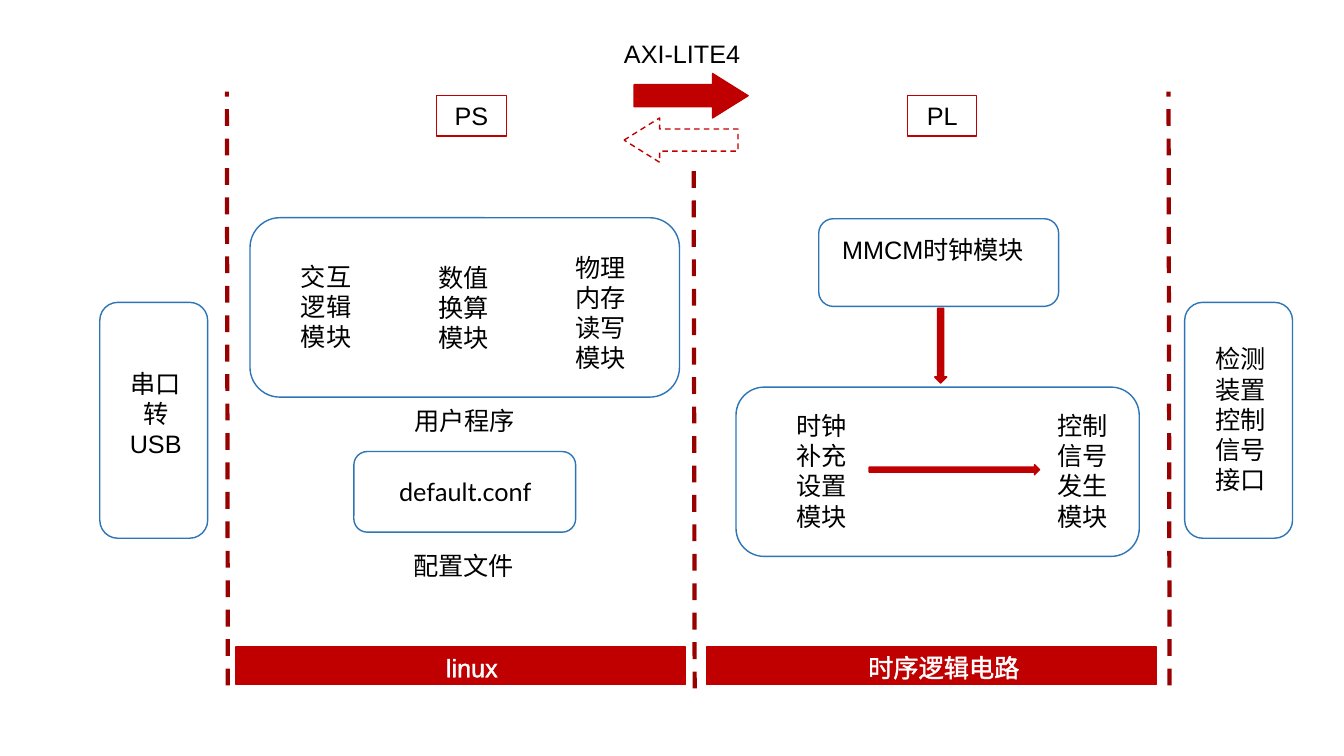
import pptx
import pptx.util
import pptx.dml.color
import pptx.enum.dml
import pptx.enum.shapes
import pptx.enum.text
import pptx.oxml
import pptx.oxml.ns

PX = 9144
RED, BLUE, DARK_RED = "C00000", "2E75B6", "990000"
BLACK, WHITE = "000000", "FFFFFF"
SHAPES = pptx.enum.shapes.MSO_SHAPE
DASH = pptx.enum.dml.MSO_LINE.DASH

BAR_TOP, BAR_WIDTH, BAR_HEIGHT = 642, 446, 37
BAR_LEFTS = [234, 701]

PANELS = [
    (730, 384, 400, 168),
    (248, 216, 426, 178),
    (812, 217, 238, 87),
    (99, 300, 107, 234),
    (351, 448, 220, 80),
    (1175, 300, 107, 234),
]

DIVIDERS = [(226, 680, 91), (689, 683, 161), (1160, 680, 91)]

SIDE_TAGS = [("PS", 433), ("PL", 900)]

ARROWS = [
    (SHAPES.DOWN_ARROW, (927, 306, 12, 74), None, True),
    (SHAPES.RIGHT_ARROW, (862, 461, 169, 10), None, True),
    (SHAPES.RIGHT_ARROW, (629, 73, 113, 44), (0.5, 0.8), True),
    (SHAPES.LEFT_ARROW, (619, 117, 113, 44), (0.5, 0.8), False),
]

LABELS = [
    (["数值换算模块"], (418, 255, 83, 101), {}),
    (["控制信号发生模块"], (1028, 402, 91, 131), {}),
    (["物理内存读写模块"], (554, 245, 83, 131), {}),
    (["交互逻辑模块"], (282, 254, 83, 101), {}),
    (["时钟补充设置模块"], (769, 402, 91, 131), {}),
    (["MMCM时钟模块"], (823, 228, 205, 40), {}),
    (["串口转USB"], (113, 360, 83, 101), {"outline": WHITE}),
    (["检测装置控制信号", "接口"], (1189, 336, 83, 161), {"outline": WHITE}),
    (["用户程序"], (384, 397, 154, 40), {}),
    (["配置文件"], (383, 541, 154, 40), {}),
    (["AXI-LITE4"], (607, 33, 139, 40), {}),
    (["default.conf"], (378, 468, 167, 40), {"font": "Lato"}),
    (["linux"], (391, 642, 154, 40), {"color": WHITE, "outline": WHITE}),
    (["时序逻辑电路"], (847, 642, 178, 40), {"color": WHITE, "outline": WHITE}),
]


def rgb(color):
    return pptx.dml.color.RGBColor.from_string(color)


def emu(*lengths):
    return [length * PX for length in lengths]


def add_box(page, kind, place, fill=None, line=RED, width=1):
    box = page.shapes.add_shape(kind, *emu(*place))
    box.shadow.inherit = False
    if fill:
        box.fill.solid()
        box.fill.fore_color.rgb = rgb(fill)
    else:
        box.fill.background()
    box.line.color.rgb = rgb(line)
    box.line.width = pptx.util.Pt(width)
    return box


def write(box, lines, font="Arial", size=18, color=BLACK, outline=None):
    frame = box.text_frame
    frame.word_wrap = True
    frame.auto_size = pptx.enum.text.MSO_AUTO_SIZE.SHAPE_TO_FIT_TEXT
    frame.vertical_anchor = pptx.enum.text.MSO_ANCHOR.TOP
    for index, text in enumerate(lines):
        para = frame.add_paragraph() if index else frame.paragraphs[0]
        para.alignment = pptx.enum.text.PP_ALIGN.CENTER
        span = para.add_run()
        span.text = text
        span.font.name = font
        span.font.size = pptx.util.Pt(size)
        span.font.color.rgb = rgb(color)
        if outline:
            span.font._element.insert(0, pptx.oxml.parse_xml(
                f'<a:ln {pptx.oxml.ns.nsdecls("a")} w="9525"><a:solidFill>'
                f'<a:srgbClr val="{outline}"/></a:solidFill></a:ln>'))


def add_divider(page, x, bottom, top):
    divider = page.shapes.add_connector(
        pptx.enum.shapes.MSO_CONNECTOR.STRAIGHT, *emu(x, bottom, x - 1, top))
    divider.line.color.rgb = rgb(DARK_RED)
    divider.line.width = pptx.util.Pt(3)
    divider.line.dash_style = DASH
    divider._element.spPr.append(
        pptx.oxml.parse_xml(f'<a:effectLst {pptx.oxml.ns.nsdecls("a")}/>'))


def main():
    deck = pptx.Presentation()
    deck.slide_width, deck.slide_height = emu(1333, 750)
    page = deck.slides.add_slide(deck.slide_layouts[6])

    for left in BAR_LEFTS:
        add_box(page, SHAPES.RECTANGLE, (left, BAR_TOP, BAR_WIDTH, BAR_HEIGHT), fill=RED)
    for place in PANELS:
        add_box(page, SHAPES.ROUNDED_RECTANGLE, place, line=BLUE)
    for x, bottom, top in DIVIDERS:
        add_divider(page, x, bottom, top)
    for text, left in SIDE_TAGS:
        tag = add_box(page, SHAPES.RECTANGLE, (left, 95, 69, 40), width=0.75)
        write(tag, [text])
    for kind, place, adjustments, solid in ARROWS:
        arrow = add_box(page, kind, place, fill=RED if solid else None)
        if adjustments:
            arrow.adjustments[0], arrow.adjustments[1] = adjustments
        if not solid:
            arrow.line.dash_style = DASH
    for lines, place, style in LABELS:
        write(page.shapes.add_textbox(*emu(*place)), lines, **style)

    deck.save("out.pptx")


if __name__ == "__main__":
    main()
